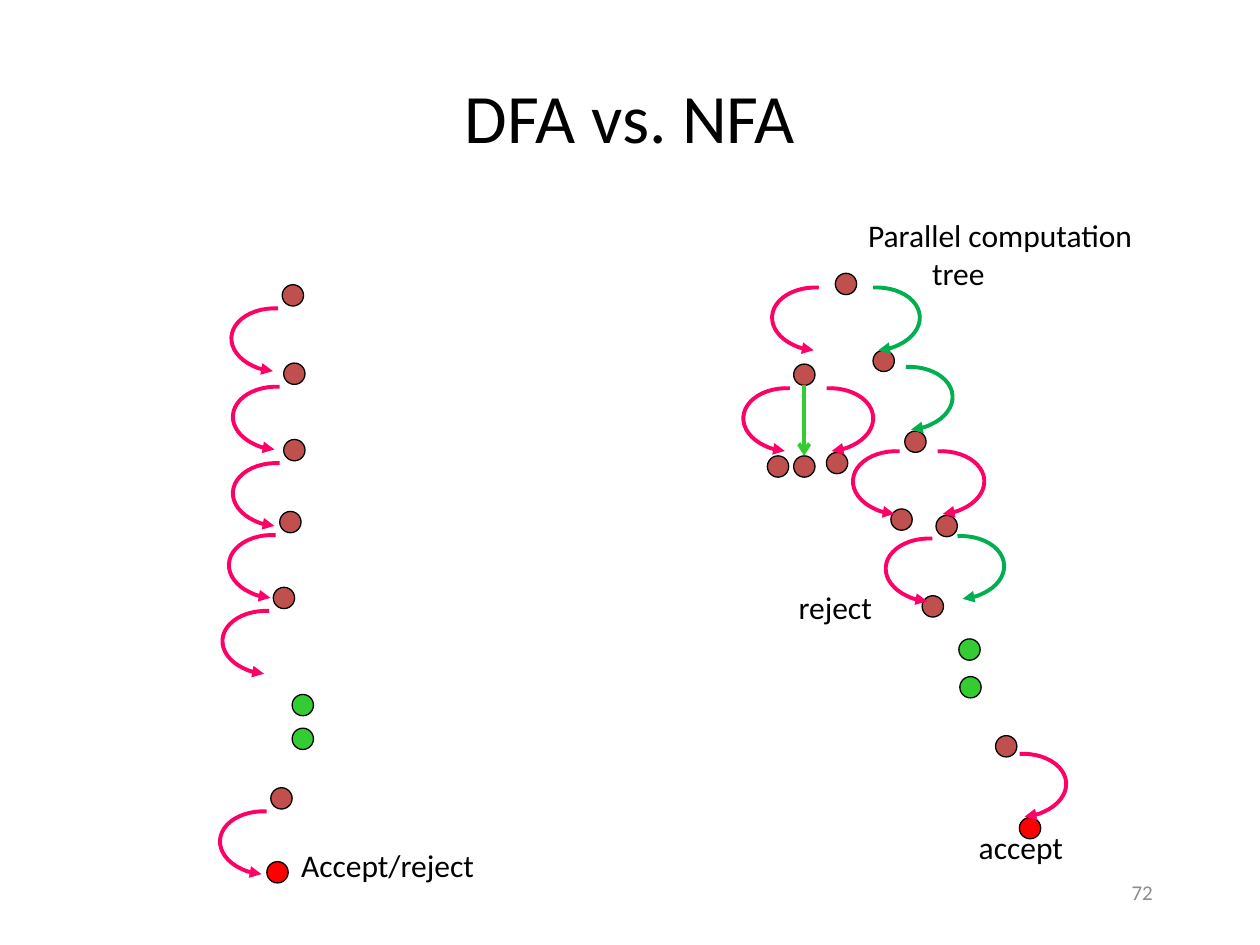
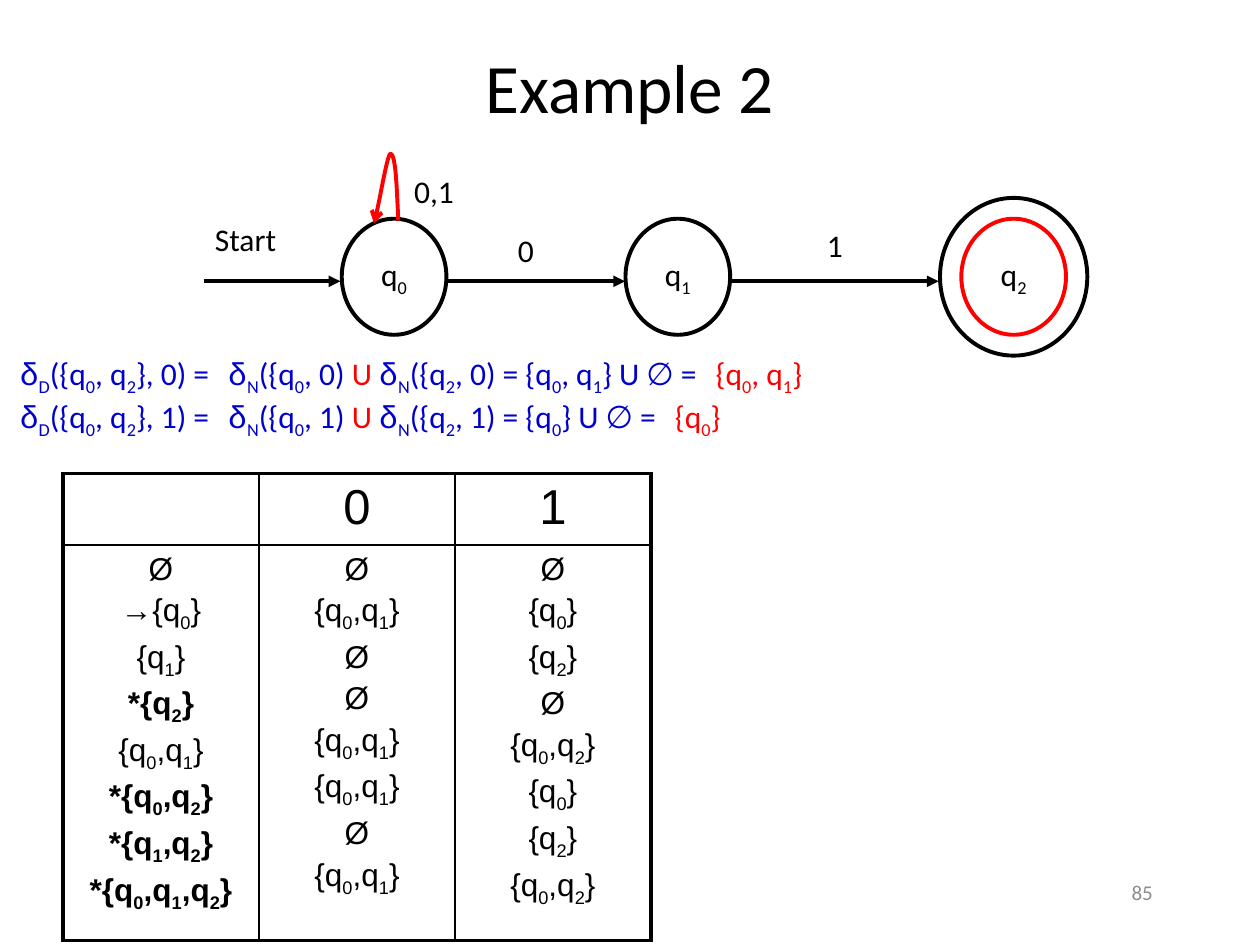
from dataclasses import dataclass

from lxml.etree import SubElement
from pptx import Presentation
from pptx.dml.color import RGBColor
from pptx.enum.shapes import MSO_CONNECTOR, MSO_SHAPE
from pptx.enum.text import MSO_ANCHOR, PP_ALIGN
from pptx.oxml.ns import qn
from pptx.util import Cm, Pt


@dataclass(frozen=True)
class Theme:
    black: str = "000000"
    white: str = "FFFFFF"
    grey: str = "8C8C8C"
    brick: str = "C0504D"
    pink: str = "FF0066"
    red: str = "FF0000"
    lime: str = "33CC33"
    green: str = "00B050"
    blue: str = "0000CC"
    body: str = "Calibri"
    mono: str = "Courier New"
    grid: str = "Arial"
    title: float = 39.6
    head: float = 28
    text: float = 18
    foot: float = 12
    thick: float = 2.25
    thin: float = 1
    rim: float = 0.75


T = Theme()
DOT = 0.43
ARC = (1.27, 1.84)
STATE = (2.11, 2.34)
CENTRED = {"word_wrap": False, "vertical_anchor": MSO_ANCHOR.MIDDLE}


def style(target, **values):
    for name, value in values.items():
        setattr(target, name, value)


def place(box, x, y, w, h):
    """Turn a spot inside box, in cm, into slide lengths."""
    return Cm(box[0] + x), Cm(box[1] + y), Cm(w), Cm(h)


def write(para, text, hue=T.black, size=T.text, font=T.body, bold=False):
    """Add text to para; the letter after each underscore is a subscript."""
    first, *rest = text.split("_")
    bits = [(first, False)]
    for chunk in rest:
        bits += [(chunk[0], True), (chunk[1:], False)]
    for bit, sub in bits:
        if not bit:
            continue
        run = para.add_run()
        run.text = bit
        style(run.font, name=font, size=Pt(size), bold=bold)
        run.font.color.rgb = RGBColor.from_string(hue)
        if sub:
            run.font._element.set("baseline", "-25000")


def label(slide, spot, text, align=PP_ALIGN.LEFT, frame=None, **fmt):
    box = slide.shapes.add_textbox(*spot).text_frame
    style(box, **(frame or {"word_wrap": True}))
    para = box.paragraphs[0]
    para.alignment = align
    write(para, text, **fmt)
    return box


def stroke(shape, hue, width=T.thick, **ends):
    """Colour the line; ends maps headEnd or tailEnd to an arrow type."""
    shape.line.color.rgb = RGBColor.from_string(hue)
    shape.line.width = Pt(width)
    line = shape.element.spPr.find(qn("a:ln"))
    for end, kind in ends.items():
        SubElement(line, qn(f"a:{end}"), type=kind)


def oval(slide, spot, fill, hue=T.black, width=T.thick):
    shape = slide.shapes.add_shape(MSO_SHAPE.OVAL, *spot)
    shape.shadow.inherit = False
    shape.fill.solid()
    shape.fill.fore_color.rgb = RGBColor.from_string(fill)
    stroke(shape, hue, width)
    return shape


def dots(slide, box, spots, fill=T.brick):
    for x, y in spots:
        oval(slide, place(box, x, y, DOT, DOT), fill, width=T.rim)


def arc(slide, box, x, y, hue=T.pink, flip=False):
    """Draw a half turn downwards, bulging left, or right if flipped."""
    shape = slide.shapes.add_shape(MSO_SHAPE.ARC, *place(box, x, y, *ARC))
    shape.shadow.inherit = False
    shape.fill.background()
    shape.adjustments[0], shape.adjustments[1] = 110.453, 215.215
    shape.rotation = 86.7 if flip else 273.3
    if flip:
        shape.element.spPr.find(qn("a:xfrm")).set("flipH", "1")
    stroke(shape, hue, headEnd="triangle")


def arrow(slide, box, start, stop, hue=T.black, kind="triangle"):
    ends = [Cm(box[i] + spot[i]) for spot in (start, stop) for i in (0, 1)]
    line = slide.shapes.add_connector(MSO_CONNECTOR.STRAIGHT, *ends)
    stroke(line, hue, tailEnd=kind)
    SubElement(line.element.spPr, qn("a:effectLst"))


def base(deck, title, top, high, number):
    """Add a blank slide with its title and page number."""
    slide = deck.slides.add_slide(deck.slide_layouts[6])
    frame = {"word_wrap": True, "vertical_anchor": MSO_ANCHOR.MIDDLE}
    label(slide, place((1.9, top), 0, 0, 21.6, high), title,
          PP_ALIGN.CENTER, frame, size=T.title)
    label(slide, place((18.21, 17.35), 0, 0, 5.28, 1.27), number,
          PP_ALIGN.RIGHT, frame, size=T.foot, hue=T.grey)
    return slide


def chain(slide, box):
    """Draw the single run of a DFA."""
    steps = [(0.69, 0.24), (0.72, 1.82), (0.72, 3.36),
             (0.64, 4.81), (0.51, 6.34), (0.46, 10.38)]
    dots(slide, box, steps)
    for x, y in steps:
        arc(slide, box, x - 0.74, y + 0.19)
    dots(slide, box, [(0.38, 11.87)], T.red)
    dots(slide, box, [(0.89, 8.5), (0.89, 9.18)], T.lime)
    label(slide, place(box, 0.82, 11.44, 5.46, 1.3), "Accept/reject")


def tree(slide, box):
    """Draw the branching runs of an NFA."""
    dots(slide, box, [(1.84, 1.51), (1, 3.34), (2.6, 3.06), (1.66, 5.12),
                      (3.87, 6.39), (3.24, 4.69), (0.47, 5.19), (1, 5.19),
                      (2.96, 6.26), (3.59, 8.01), (5.07, 10.83)])
    dots(slide, box, [(5.55, 12.48)], T.red)
    dots(slide, box, [(4.33, 8.88), (4.35, 9.64)], T.lime)
    for x, y in [(0.85, 1.51), (0.27, 3.54), (2.48, 4.81), (3.14, 6.57)]:
        arc(slide, box, x, y)
    for x, y, hue in [(1.99, 1.51, T.green), (1.05, 3.54, T.pink),
                      (2.65, 3.11, T.green), (3.29, 4.81, T.pink),
                      (3.69, 6.52, T.green), (4.94, 10.91, T.pink)]:
        arc(slide, box, x, y, hue, flip=True)
    arrow(slide, box, (1.21, 3.77), (1.21, 5.19), T.lime, "arrow")
    label(slide, place(box, 0.85, 7.73, 2.64, 1.3), "reject")
    label(slide, place(box, 4.48, 12.56, 2.95, 1.3), "accept")
    note = label(slide, place(box, 2.25, 0.24, 8.15, 2.31),
                 "Parallel computation")
    para = note.add_paragraph()
    write(para, "tree")
    para._p.get_or_add_pPr().set("marL", str(Cm(1.29)))


def curve(start, one, two, stop, count=16):
    """Give the points of a cubic curve after its start."""
    for step in range(1, count + 1):
        t = step / count
        u = 1 - t
        yield tuple(u**3 * a + 3 * u * u * t * b + 3 * u * t * t * c + t**3 * d
                    for a, b, c, d in zip(start, one, two, stop))


def loop(slide, box):
    start, peak, stop = (4.53, 1.45), (4.37, 0.1), (4.04, 1.5)
    trail = [start, *curve(start, (4.5, 0.78), (4.48, 0.1), peak),
             *curve(peak, (4.3, 0.12), (4.12, 1.27), stop)]
    points = [(Cm(box[0] + x), Cm(box[1] + y)) for x, y in trail]
    pen = slide.shapes.build_freeform(*points[0])
    pen.add_line_segments(points[1:], close=False)
    shape = pen.convert_to_shape()
    shape.shadow.inherit = False
    shape.fill.background()
    stroke(shape, T.red, tailEnd="arrow")


def graph(slide, box):
    """Draw the states and moves of the automaton."""
    oval(slide, place(box, 15.45, 0.99, 2.97, 3.18), T.white)
    for i, (x, hue) in enumerate([(3.39, T.black), (9.11, T.black),
                                  (15.88, T.red)]):
        state = oval(slide, place(box, x, 1.41, *STATE), T.white, hue)
        style(state.text_frame, **CENTRED)
        para = state.text_frame.paragraphs[0]
        para.alignment = PP_ALIGN.CENTER
        write(para, f"q_{i}")
    for left, right in [(0.61, 3.36), (5.52, 9.1), (11.18, 15.42)]:
        arrow(slide, box, (left, 2.67), (right, 2.67))
    loop(slide, box)
    for text, x, y in [("Start", 0.18, 1.39), ("0,1", 3.98, 0.43),
                       ("0", 5.83, 1.62), ("1", 12.06, 1.52)]:
        label(slide, place(box, x, y, 2.54, 0.84), text,
              PP_ALIGN.CENTER, CENTRED)


def sums(slide, box):
    """Write the two worked transitions."""
    frame = slide.shapes.add_textbox(*place(box, 0, 0, 25.2, 2.31)).text_frame
    frame.word_wrap = True
    for i, goal in enumerate(["{q_0, q_1}", "{q_0}"]):
        para = frame.add_paragraph() if i else frame.paragraphs[0]
        for text, hue, font in [
                ("δ", T.blue, T.mono),
                ("_D({q_0, q_2}, %d) =" % i, T.blue, T.body),
                (" δ", T.blue, T.mono),
                ("_N({q_0, %d) " % i, T.blue, T.body),
                ("U ", T.red, T.body),
                ("δ", T.blue, T.mono),
                ("_N({q_2, %d) = %s U ∅ =" % (i, goal), T.blue, T.body),
                (" ", T.blue, T.mono),
                (goal, T.red, T.body)]:
            write(para, text, hue, font=font)


def border(cell, sides):
    props = cell._tc.get_or_add_tcPr()
    for side, width in sides.items():
        line = SubElement(props, qn(f"a:ln{side}"), w=str(Pt(width)))
        fill = SubElement(line, qn("a:solidFill"))
        SubElement(fill, qn("a:srgbClr"), val=T.black)


def moves(slide, box):
    """Build the transition table of the subset construction."""
    pair, ends = "{q_0,q_1}", "{q_0,q_2}"
    rows = [[[], ["0"], ["1"]],
            [["Ø", "→{q_0}", "{q_1}", "*{q_2}", pair, "*" + ends,
              "*{q_1,q_2}", "*{q_0,q_1,q_2}"],
             ["Ø", pair, "Ø", "Ø", pair, pair, "Ø", pair],
             ["Ø", "{q_0}", "{q_2}", "Ø", ends, "{q_0}", "{q_2}", ends]]]
    table = slide.shapes.add_table(2, 3, *place(box, 0, 0, 11.85, 8.99)).table
    style(table, first_row=False, horz_banding=False)
    for col in table.columns:
        col.width = Cm(3.95)
    for row, high in zip(table.rows, (1.35, 7.64)):
        row.height = Cm(high)
    for r, row in enumerate(rows):
        for c, lines in enumerate(row):
            cell = table.cell(r, c)
            outer = {"L": c == 0, "R": c == 2, "T": r == 0, "B": r == 1}
            border(cell, {side: T.thick if edge else T.thin
                          for side, edge in outer.items()})
            cell.fill.background()
            for i, text in enumerate(lines):
                frame = cell.text_frame
                para = frame.add_paragraph() if i else frame.paragraphs[0]
                para.alignment = PP_ALIGN.CENTER
                gap = SubElement(para._p.get_or_add_pPr(), qn("a:spcBef"))
                SubElement(gap, qn("a:spcPct"), val="20000")
                write(para, text, size=T.text if r else T.head,
                      font=T.grid, bold=text.startswith("*"))


def main():
    deck = Presentation()
    style(deck, slide_width=Cm(25.4), slide_height=Cm(19.05))
    slide = base(deck, "DFA vs. NFA", 1.7, 1.27, "72")
    chain(slide, (5, 5.5))
    tree(slide, (15, 4))
    slide = base(deck, "Example 2", 0.91, 1.63, "85")
    graph(slide, (3.5, 3))
    moves(slide, (1.27, 9.55))
    sums(slide, (0.15, 7.01))
    deck.save("out.pptx")


if __name__ == "__main__":
    main()
